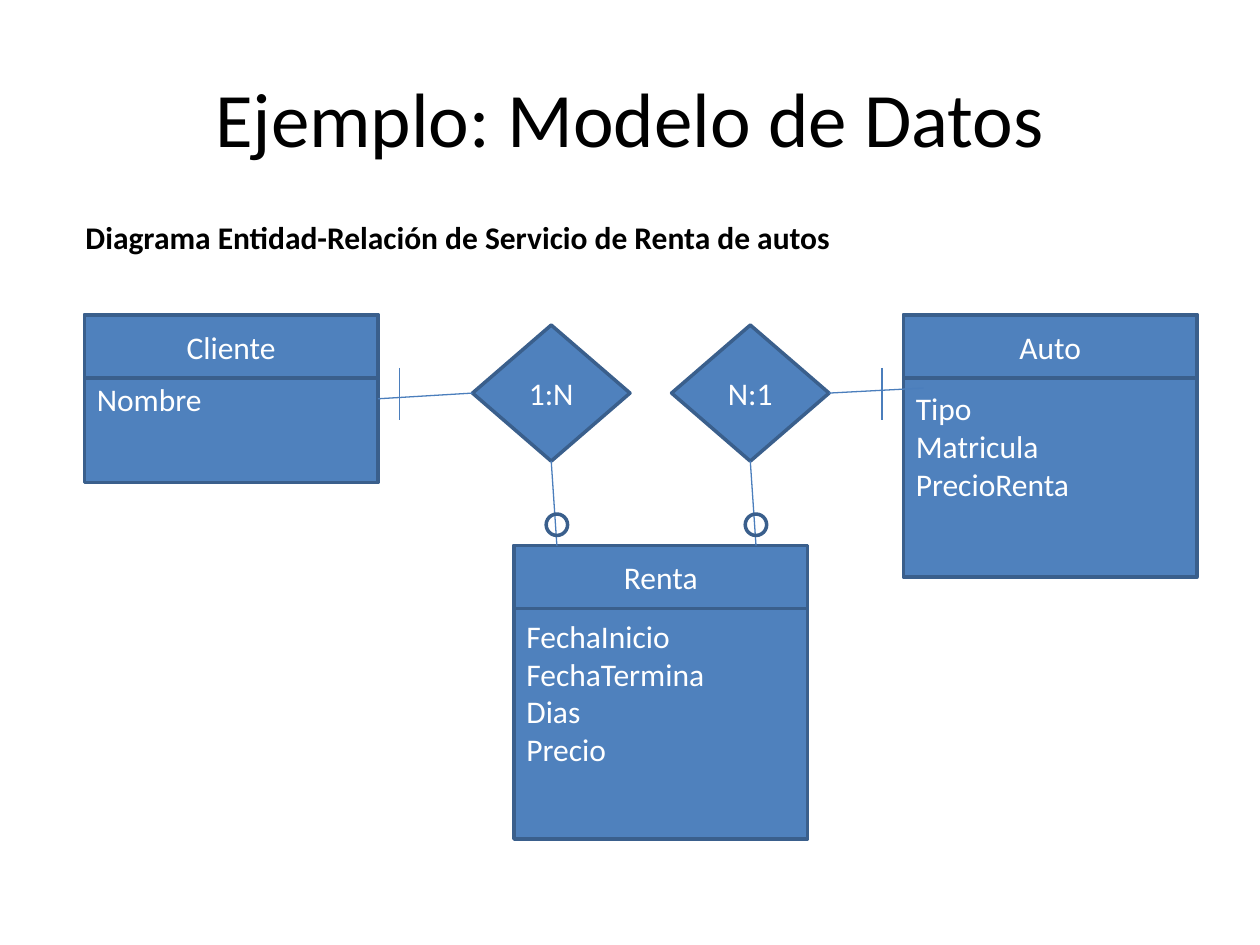
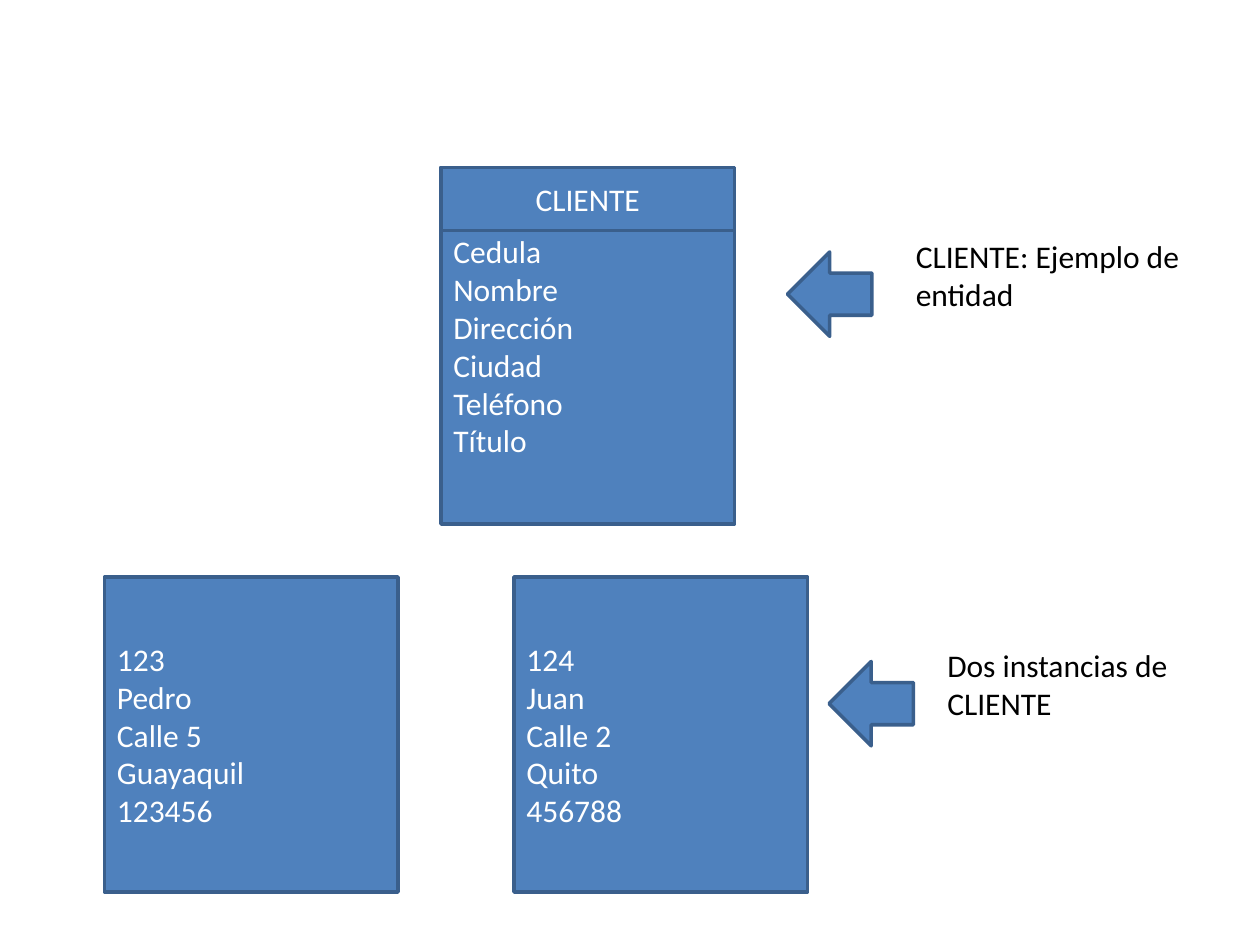
import pptx
import pptx.util
import pptx.dml.color
import pptx.enum.shapes
import pptx.enum.text
import pptx.oxml.ns
import lxml.etree

Inches = pptx.util.Inches
Pt = pptx.util.Pt
SHAPE = pptx.enum.shapes.MSO_SHAPE
ALIGN = pptx.enum.text.PP_ALIGN
ANCHOR = pptx.enum.text.MSO_ANCHOR
TOP, LEFT, BOTTOM, RIGHT = range(4)


def rgb(hex_colour):
    return pptx.dml.color.RGBColor.from_string(hex_colour)


class DiagramDeck:
    font = "Calibri"
    fill, outline, link = "4F81BD", "3A5F8C", "4B7EBC"
    dark, light = "000000", "FFFFFF"
    entity_width, header_height = 2.33, 0.5

    def __init__(self):
        self.prs = pptx.Presentation()
        self.prs.slide_width = Inches(10)
        self.prs.slide_height = Inches(7.5)
        self.slide = None

    def new_slide(self, layout):
        self.slide = self.prs.slides.add_slide(self.prs.slide_layouts[layout])

    def add_lines(self, frame, lines, colour, align=ALIGN.LEFT, size=18, bold=False):
        frame.word_wrap = True
        for index, line in enumerate(lines):
            paragraph = frame.paragraphs[0] if index == 0 else frame.add_paragraph()
            paragraph.alignment = align
            run = paragraph.add_run()
            run.text = line
            run.font.name = self.font
            run.font.size = Pt(size)
            run.font.bold = bold
            run.font.color.rgb = rgb(colour)

    def title(self, text):
        title = self.slide.shapes.title
        title.left, title.top = Inches(0.5), Inches(0.3)
        title.width, title.height = Inches(9), Inches(1.25)
        title.text_frame.vertical_anchor = ANCHOR.MIDDLE
        self.add_lines(title.text_frame, [text], self.dark, ALIGN.CENTER, size=44)

    def label(self, left, top, width, height, text, bold=False):
        box = self.slide.shapes.add_textbox(
            Inches(left), Inches(top), Inches(width), Inches(height))
        self.add_lines(box.text_frame, [text], self.dark, bold=bold)
        box.text_frame.auto_size = pptx.enum.text.MSO_AUTO_SIZE.SHAPE_TO_FIT_TEXT

    def shape(self, kind, left, top, width, height, lines=(),
              align=ALIGN.CENTER, filled=True):
        shape = self.slide.shapes.add_shape(
            kind, Inches(left), Inches(top), Inches(width), Inches(height))
        shape.shadow.inherit = False
        if filled:
            shape.fill.solid()
            shape.fill.fore_color.rgb = rgb(self.fill)
        else:
            shape.fill.background()
        shape.line.color.rgb = rgb(self.outline)
        shape.line.width = Pt(2)
        shape.text_frame.vertical_anchor = ANCHOR.MIDDLE
        self.add_lines(shape.text_frame, lines, self.light, align)
        return shape

    def attributes(self, left, top, height, lines):
        return self.shape(SHAPE.RECTANGLE, left, top, self.entity_width, height,
                          lines, ALIGN.LEFT)

    def entity(self, left, top, height, name, lines):
        body = self.attributes(left, top, height, lines)
        self.shape(SHAPE.RECTANGLE, left, top, self.entity_width,
                   self.header_height, [name])
        return body

    def relation(self, left, text):
        return self.shape(SHAPE.DIAMOND, left, 2.58, 1.25, 1.08, [text])

    def line(self, start, end, begin_at=None, end_at=None):
        line = self.slide.shapes.add_connector(
            pptx.enum.shapes.MSO_CONNECTOR.STRAIGHT,
            *(Inches(value) for value in start + end))
        line.line.color.rgb = rgb(self.link)
        line.line.width = Pt(0.75)
        if begin_at:
            line.begin_connect(*begin_at)
        if end_at:
            line.end_connect(*end_at)
        lxml.etree.SubElement(line.element.spPr, pptx.oxml.ns.qn("a:effectLst"))

    def mandatory_mark(self, x):
        self.line((x, 2.92), (x, 3.33))

    def optional_link(self, relation, x):
        self.line((x - 0.04, 3.67), (x, 4.33), begin_at=(relation, BOTTOM))
        self.shape(SHAPE.OVAL, x - 0.085, 4.08, 0.17, 0.17, filled=False)

    def callout(self, arrow_left, arrow_top, text_left, text):
        self.shape(SHAPE.LEFT_ARROW, arrow_left, arrow_top, 0.67, 0.67)
        self.label(text_left, arrow_top - 0.17, 2.33, 0.71, text)


def data_model(deck):
    deck.new_slide(5)
    deck.title("Ejemplo: Modelo de Datos")
    cliente = deck.entity(0.67, 2.5, 1.33, "Cliente", ["Nombre"])
    deck.entity(4.08, 4.33, 2.33, "Renta",
                ["FechaInicio", "FechaTermina", "Dias", "Precio"])
    deck.entity(7.17, 2.5, 2.08, "Auto", ["Tipo", "Matricula", "PrecioRenta"])
    cliente_renta = deck.relation(3.75, "1:N")
    renta_auto = deck.relation(5.33, "N:1")

    deck.line((3.75, 3.12), (3, 3.17), (cliente_renta, LEFT), (cliente, RIGHT))
    deck.mandatory_mark(3.17)
    deck.optional_link(cliente_renta, 4.42)
    deck.optional_link(renta_auto, 6)
    deck.line((7.33, 3.08), (6.58, 3.12), end_at=(renta_auto, RIGHT))
    deck.mandatory_mark(7)
    deck.label(0.58, 1.68, 7.25, 0.4,
               "Diagrama Entidad-Relación de Servicio de Renta de autos", bold=True)


def entity_and_instances(deck):
    deck.new_slide(6)
    deck.entity(3.5, 1.33, 2.83, "CLIENTE",
                ["Cedula", "Nombre", "Dirección", "Ciudad", "Teléfono", "Título"])
    instances = {
        0.83: ["123", "Pedro", "Calle 5", "Guayaquil", "123456"],
        4.08: ["124", "Juan", "Calle 2", "Quito", "456788"],
    }
    for left, values in instances.items():
        deck.attributes(left, 4.58, 2.5, values)
    deck.callout(6.25, 2, 7.17, "CLIENTE: Ejemplo de entidad")
    deck.callout(6.58, 5.25, 7.42, "Dos instancias de CLIENTE")


def main():
    deck = DiagramDeck()
    data_model(deck)
    entity_and_instances(deck)
    deck.prs.save("out.pptx")


if __name__ == "__main__":
    main()
